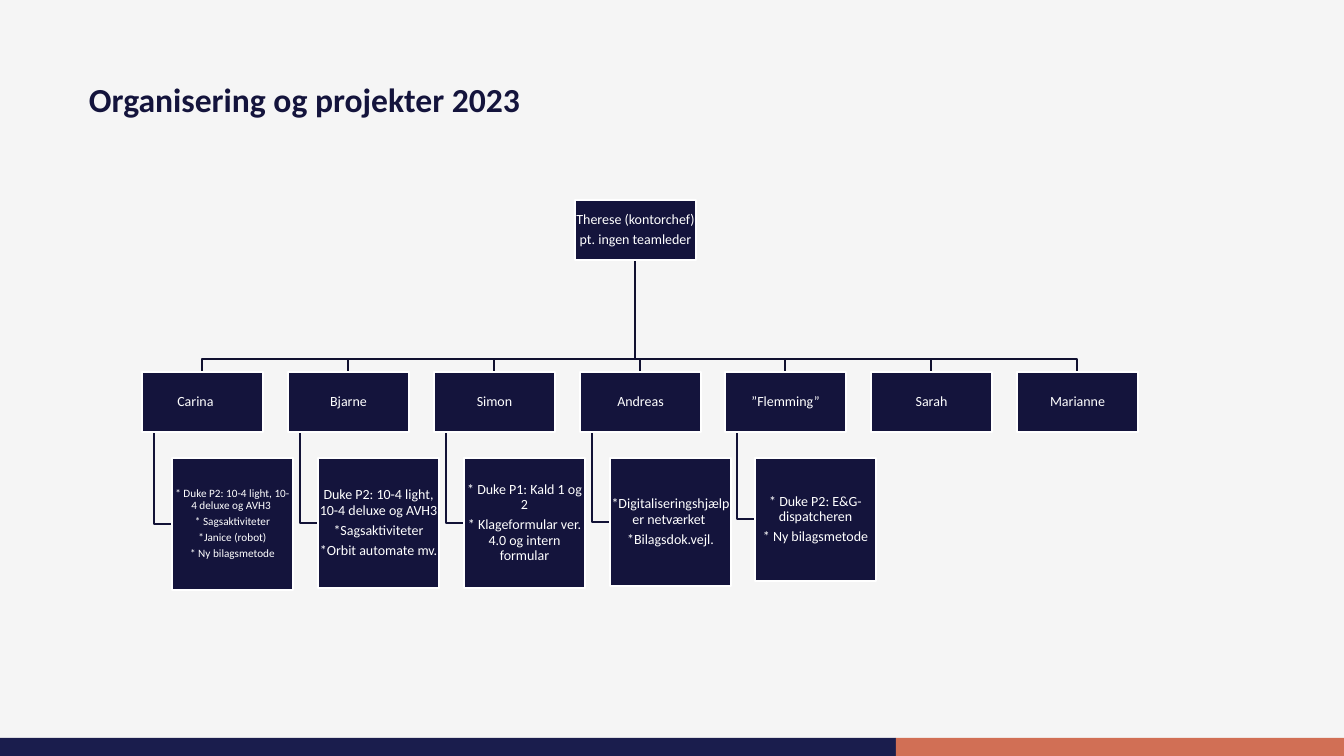
from dataclasses import dataclass

from pptx import Presentation
from pptx.dml.color import RGBColor
from pptx.enum.shapes import MSO_SHAPE
from pptx.enum.text import MSO_ANCHOR, PP_ALIGN
from pptx.shapes.autoshape import Shape
from pptx.slide import Slide
from pptx.util import Emu, Pt

RECTANGLE = MSO_SHAPE.RECTANGLE
MIDDLE = MSO_ANCHOR.MIDDLE
CENTER = PP_ALIGN.CENTER
EMU_PER_PX = 914400 / 100.8


@dataclass(frozen=True)
class Theme:
    font: str = "Calibri"
    background: RGBColor = RGBColor(0xF5, 0xF5, 0xF5)
    navy: RGBColor = RGBColor(0x14, 0x14, 0x3C)
    white: RGBColor = RGBColor(0xFF, 0xFF, 0xFF)
    staff_line: RGBColor = RGBColor(0x10, 0x10, 0x30)
    project_line: RGBColor = RGBColor(0x12, 0x12, 0x36)
    footer_navy: RGBColor = RGBColor(0x1A, 0x1D, 0x4D)
    footer_coral: RGBColor = RGBColor(0xD1, 0x6F, 0x55)
    title_size: int = 24
    body_size: int = 10
    small_size: int = 8


@dataclass(frozen=True)
class Box:
    left: int
    top: int
    width: int
    height: int

    @property
    def center(self) -> int:
        return self.left + self.width // 2

    @property
    def middle(self) -> int:
        return self.top + self.height // 2

    @property
    def bottom(self) -> int:
        return self.top + self.height


@dataclass(frozen=True)
class Employee:
    name: str
    projects: tuple[str, ...] = ()
    projects_height: int = 0
    projects_size: int = Theme.body_size


THEME = Theme()
BOX_WIDTH, BOX_HEIGHT = 121, 60
STAFF_LEFT, STAFF_SPAN, STAFF_TOP = 142, 875, 372
BUS_Y = 359
PROJECTS_TOP, PROJECTS_INDENT, STEM_INDENT = 458, 30, 12

CHIEF = Box(575, 200, BOX_WIDTH, BOX_HEIGHT)
CHIEF_LINES = ("Therese (kontorchef)", "pt. ingen teamleder")
STAFF = (
    Employee("Carina\t", ("* Duke P2: 10-4 light, 10-4 deluxe og AVH3 ", "* Sagsaktiviteter",
                          "*Janice (robot)", "* Ny bilagsmetode"), 132, THEME.small_size),
    Employee("Bjarne", ("Duke P2: 10-4 light, 10-4 deluxe og AVH3", "*Sagsaktiviteter",
                        "*Orbit automate mv."), 130),
    Employee("Simon", ("* Duke P1: Kald 1 og 2",
                       "* Klageformular ver. 4.0 og intern formular"), 130),
    Employee("Andreas", ("*Digitaliseringshjælper netværket ", "*Bilagsdok.vejl."), 128),
    Employee("”Flemming”", ("* Duke P2: E&G-dispatcheren", "* Ny bilagsmetode"), 123),
    Employee("Sarah"),
    Employee("Marianne"),
)


def px(length: int) -> Emu:
    return Emu(round(length * EMU_PER_PX))


def place(box: Box) -> tuple[Emu, Emu, Emu, Emu]:
    return px(box.left), px(box.top), px(box.width), px(box.height)


def write(shape: Shape, lines: tuple[str, ...], size: int, color: RGBColor,
          bold: bool = False, space_after: float = 0) -> None:
    frame = shape.text_frame
    frame.word_wrap = True
    frame.vertical_anchor = MIDDLE
    for index, line in enumerate(lines):
        paragraph = frame.add_paragraph() if index else frame.paragraphs[0]
        paragraph.alignment = CENTER
        paragraph.line_spacing = 0.9
        paragraph.space_after = Pt(space_after)
        run = paragraph.add_run()
        run.text = line
        run.font.name = THEME.font
        run.font.size = Pt(size)
        run.font.bold = bold
        run.font.color.rgb = color


def add_rectangle(slide: Slide, box: Box, fill: RGBColor) -> Shape:
    rectangle = slide.shapes.add_shape(RECTANGLE, *place(box))
    rectangle.shadow.inherit = False
    rectangle.fill.solid()
    rectangle.fill.fore_color.rgb = fill
    rectangle.line.fill.background()
    return rectangle


def add_card(slide: Slide, box: Box, lines: tuple[str, ...], size: int) -> None:
    card = add_rectangle(slide, box, THEME.navy)
    card.line.color.rgb = THEME.white
    card.line.width = Pt(1)
    frame = card.text_frame
    frame.margin_left = frame.margin_right = px(1)
    frame.margin_top = frame.margin_bottom = px(1)
    write(card, lines, size, THEME.white, space_after=size * 0.35)


def add_branch(slide: Slide, points: list[tuple[int, int]], color: RGBColor) -> None:
    builder = slide.shapes.build_freeform(*points[0], scale=EMU_PER_PX)
    builder.add_line_segments(points[1:], close=False)
    branch = builder.convert_to_shape()
    branch.shadow.inherit = False
    branch.fill.background()
    branch.line.color.rgb = color
    branch.line.width = Pt(1)


def staff_box(index: int) -> Box:
    left = STAFF_LEFT + round(index * STAFF_SPAN / (len(STAFF) - 1))
    return Box(left, STAFF_TOP, BOX_WIDTH, BOX_HEIGHT)


def projects_box(desk: Box, employee: Employee) -> Box:
    return Box(desk.left + PROJECTS_INDENT, PROJECTS_TOP, BOX_WIDTH, employee.projects_height)


def main() -> None:
    presentation = Presentation()
    presentation.slide_width, presentation.slide_height = px(1344), px(756)
    slide = presentation.slides.add_slide(presentation.slide_layouts[6])
    slide.background.fill.solid()
    slide.background.fill.fore_color.rgb = THEME.background

    # Footer band and title
    add_rectangle(slide, Box(0, 738, 896, 18), THEME.footer_navy)
    add_rectangle(slide, Box(896, 738, 448, 18), THEME.footer_coral)
    title = slide.shapes.add_textbox(*place(Box(68, 81, 473, 41)))
    write(title, ("Organisering og projekter 2023",), THEME.title_size, THEME.navy, bold=True)

    # Branches behind the cards
    desks = [(staff_box(index), employee) for index, employee in enumerate(STAFF)]
    for desk, employee in desks:
        add_branch(slide, [(CHIEF.center, CHIEF.bottom), (CHIEF.center, BUS_Y),
                           (desk.center, BUS_Y), (desk.center, desk.top)], THEME.staff_line)
        if employee.projects:
            projects = projects_box(desk, employee)
            stem = desk.left + STEM_INDENT
            add_branch(slide, [(stem, desk.bottom), (stem, projects.middle),
                               (projects.left, projects.middle)], THEME.project_line)

    # Chief, staff and their projects
    add_card(slide, CHIEF, CHIEF_LINES, THEME.body_size)
    for desk, employee in desks:
        add_card(slide, desk, (employee.name,), THEME.body_size)
        if employee.projects:
            add_card(slide, projects_box(desk, employee), employee.projects,
                     employee.projects_size)

    presentation.save("out.pptx")


if __name__ == "__main__":
    main()
